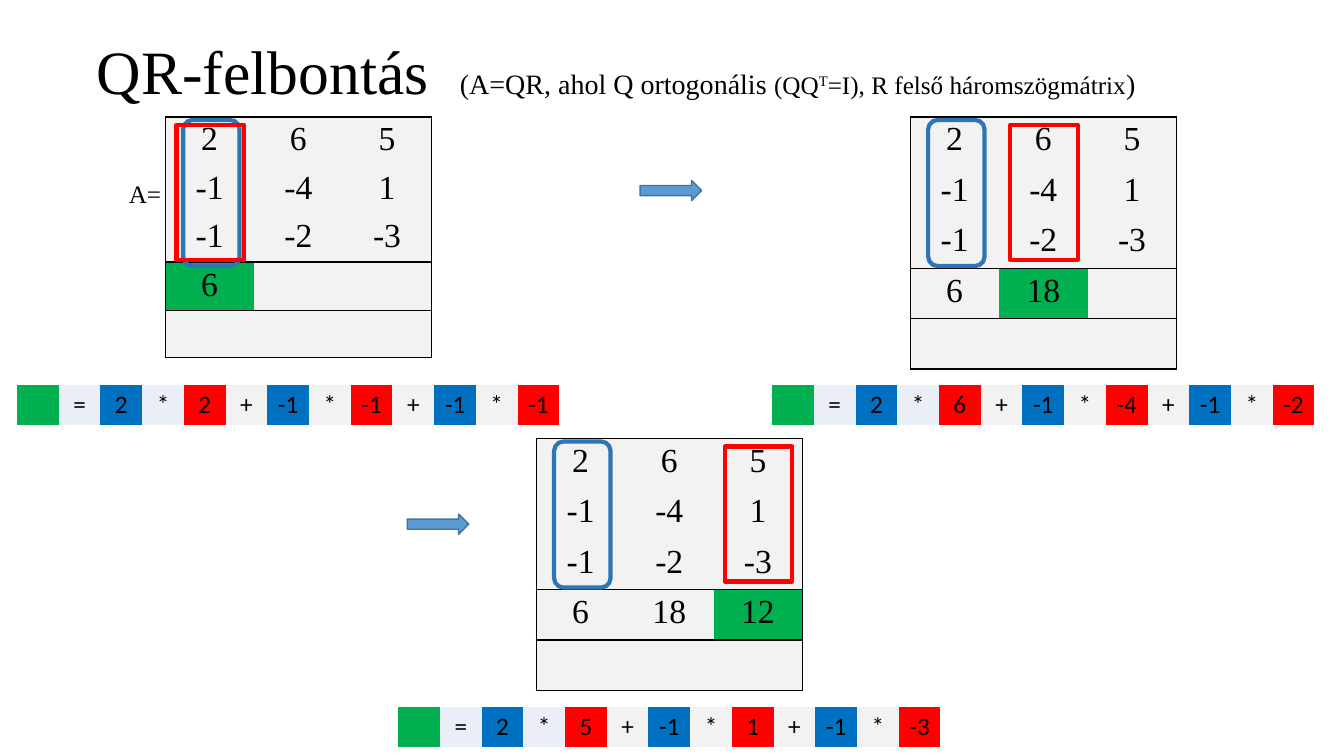
from dataclasses import dataclass
from itertools import product

from lxml import etree
from pptx import Presentation
from pptx.dml.color import RGBColor
from pptx.enum.shapes import MSO_SHAPE
from pptx.enum.text import MSO_ANCHOR, PP_ALIGN
from pptx.oxml.ns import qn
from pptx.util import Emu, Inches, Pt

CENTER, LEFT = PP_ALIGN.CENTER, PP_ALIGN.LEFT
TOP, MIDDLE = MSO_ANCHOR.TOP, MSO_ANCHOR.MIDDLE
RECT, ROUND_RECT, ARROW = (MSO_SHAPE.RECTANGLE, MSO_SHAPE.ROUNDED_RECTANGLE,
                           MSO_SHAPE.RIGHT_ARROW)
SLIDE_W, SLIDE_H = Inches(13.333), Inches(7.5)
SERIF, SANS = "Times New Roman", "Calibri"
NO_STYLE = "{2D5ABB26-0587-4C30-8999-92F81FD0307C}"
COLORS = {
    "black": "000000", "cell": "F2F2F2", "pale": "EAEFF7", "result": "00B050",
    "left": "0070C0", "right": "FF0000", "frame": "2E75B6",
    "arrow": "5B9BD5", "arrow_edge": "43739E",
}
MATRIX = [[2, 6, 5], [-1, -4, 1], [-1, -2, -3]]
COL_W = 6.6                     # matrix column, % of slide width
STRIP_W, STRIP_H = 40.35, 5.33  # product strip, % of slide


@dataclass
class Box:
    """A place on the slide, in percent of its width and height."""
    x: float
    y: float
    w: float
    h: float

    def emu(self) -> list[Emu]:
        """Return left, top, width and height as lengths."""
        shares = ((self.x, SLIDE_W), (self.y, SLIDE_H),
                  (self.w, SLIDE_W), (self.h, SLIDE_H))
        return [Emu(round(share * full / 100)) for share, full in shares]


@dataclass
class Step:
    """One scalar product: matrix place, row height and strip place."""
    column: int
    x: float
    y: float
    row_h: float
    strip_x: float
    strip_y: float


STEPS = [
    Step(0, 12.3, 15.47, 6.24, 1.27, 50.93),
    Step(1, 67.73, 15.47, 6.67, 57.45, 50.93),
    Step(2, 39.9, 58, 6.67, 29.63, 93.47),
]
ARROWS = [Box(47.63, 23.87, 4.58, 2.67), Box(30.3, 68, 4.58, 2.67)]


def rgb(name: str) -> RGBColor:
    """Look up a colour by name."""
    return RGBColor.from_string(COLORS[name])


def add_run(p, text: str, size: float, font: str = SERIF):
    """Append a black run to a paragraph."""
    r = p.add_run()
    r.text = text
    r.font.size, r.font.name = Pt(size), font
    r.font.color.rgb = rgb("black")
    return r


def add_shape(shapes, kind, box: Box, line: str, width: float, fill: str = ""):
    """Draw a preset shape, hollow unless a fill is named."""
    s = shapes.add_shape(kind, *box.emu())
    s.shadow.inherit = False
    s.line.color.rgb, s.line.width = rgb(line), Pt(width)
    if fill:
        s.fill.solid()
        s.fill.fore_color.rgb = rgb(fill)
    else:
        s.fill.background()


def add_grid(shapes, rows: int, cols: int, box: Box):
    """Add an unstyled table with equal rows and columns."""
    x, y, w, h = box.emu()
    frame = shapes.add_table(rows, cols, x, y, w, h)
    next(frame._element.iter(qn("a:tableStyleId"))).text = NO_STYLE
    table = frame.table
    table.first_row = table.horz_banding = False
    for column in table.columns:
        column.width = Emu(w // cols)
    for row in table.rows:
        row.height = Emu(h // rows)
    return table


def add_border(cell, side: str):
    """Draw a thin black line on one side (L, R, T or B) of a cell."""
    ln = etree.SubElement(cell._tc.get_or_add_tcPr(), qn("a:ln" + side),
                          w=str(Pt(1)))
    fill = etree.SubElement(ln, qn("a:solidFill"))
    etree.SubElement(fill, qn("a:srgbClr"), val=COLORS["black"])


def fill_cell(cell, text: str, fill: str, size: float, font: str, anchor):
    """Colour a cell and write its centred text."""
    cell.fill.solid()
    cell.fill.fore_color.rgb = rgb(fill)
    cell.margin_left = cell.margin_right = Inches(0.03)
    cell.margin_top = cell.margin_bottom = Inches(0.04)
    cell.vertical_anchor = anchor
    p = cell.text_frame.paragraphs[0]
    p.alignment = CENTER
    if text:
        add_run(p, text, size, font)


def add_matrix(shapes, step: Step):
    """Draw the matrix, the products so far and the two framed columns."""
    products = [sum(row[0] * row[c] for row in MATRIX)
                for c in range(step.column + 1)]
    values = MATRIX + [products]
    table = add_grid(shapes, 5, 3, Box(step.x, step.y, 3 * COL_W, 5 * step.row_h))
    for r, c in product(range(5), range(3)):
        cell = table.cell(r, c)
        edges = {"L": c == 0, "R": c == 2, "T": r in (0, 3), "B": r in (2, 4)}
        for side in (side for side, drawn in edges.items() if drawn):
            add_border(cell, side)
        known = r < len(values) and c < len(values[r])
        fill = "result" if (r, c) == (3, step.column) else "cell"
        fill_cell(cell, str(values[r][c]) if known else "", fill, 24, SERIF, TOP)
    add_shape(shapes, ROUND_RECT, Box(step.x + 1.33, step.y + 0.4, 4.2, 19.33),
              "frame", 3)
    add_shape(shapes, RECT, Box(step.x + 0.83 + step.column * COL_W,
                                step.y + 1.07, 5.03, 17.87), "right", 3)


def add_strip(shapes, step: Step):
    """Write out the scalar product of the first and the framed column."""
    cells = [("", "result")]
    for i, row in enumerate(MATRIX):
        sign_fill = "cell" if i else "pale"
        cells += [("+" if i else "=", sign_fill), (str(row[0]), "left"),
                  ("*", sign_fill), (str(row[step.column]), "right")]
    table = add_grid(shapes, 1, len(cells),
                     Box(step.strip_x, step.strip_y, STRIP_W, STRIP_H))
    for c, (text, fill) in enumerate(cells):
        fill_cell(table.cell(0, c), text, fill, 18, SANS, MIDDLE)


def add_title(sp):
    """Place the title and write it run by run."""
    sp.left, sp.top, sp.width, sp.height = Box(6.45, 0.13, 86.25, 19.33).emu()
    sp.text_frame.vertical_anchor = MIDDLE
    p = sp.text_frame.paragraphs[0]
    p.alignment, p.line_spacing = LEFT, 0.9
    add_run(p, "QR-felbontás", 44)
    gap = add_run(p, " ", 44)
    gap.font._element.set("spc", "1100")
    add_run(p, "(A=QR, ahol Q ortogonális ", 20)
    add_run(p, "(QQ", 18)
    power = add_run(p, "T", 18)
    power.font._element.set("baseline", "30000")
    add_run(p, "=I), R felső háromszögmátrix", 18)
    add_run(p, ")", 20)


def main():
    """Build and save the slide."""
    prs = Presentation()
    prs.slide_width, prs.slide_height = SLIDE_W, SLIDE_H
    slide = prs.slides.add_slide(prs.slide_layouts[5])
    shapes = slide.shapes
    add_title(shapes.title)
    label = shapes.add_textbox(*Box(8.85, 22.93, 3.98, 5.33).emu())
    label.text_frame.word_wrap = False
    add_run(label.text_frame.paragraphs[0], "A=", 18)
    for step in STEPS:
        add_matrix(shapes, step)
        add_strip(shapes, step)
    for box in ARROWS:
        add_shape(shapes, ARROW, box, "arrow_edge", 1, "arrow")
    prs.save("out.pptx")


main()
